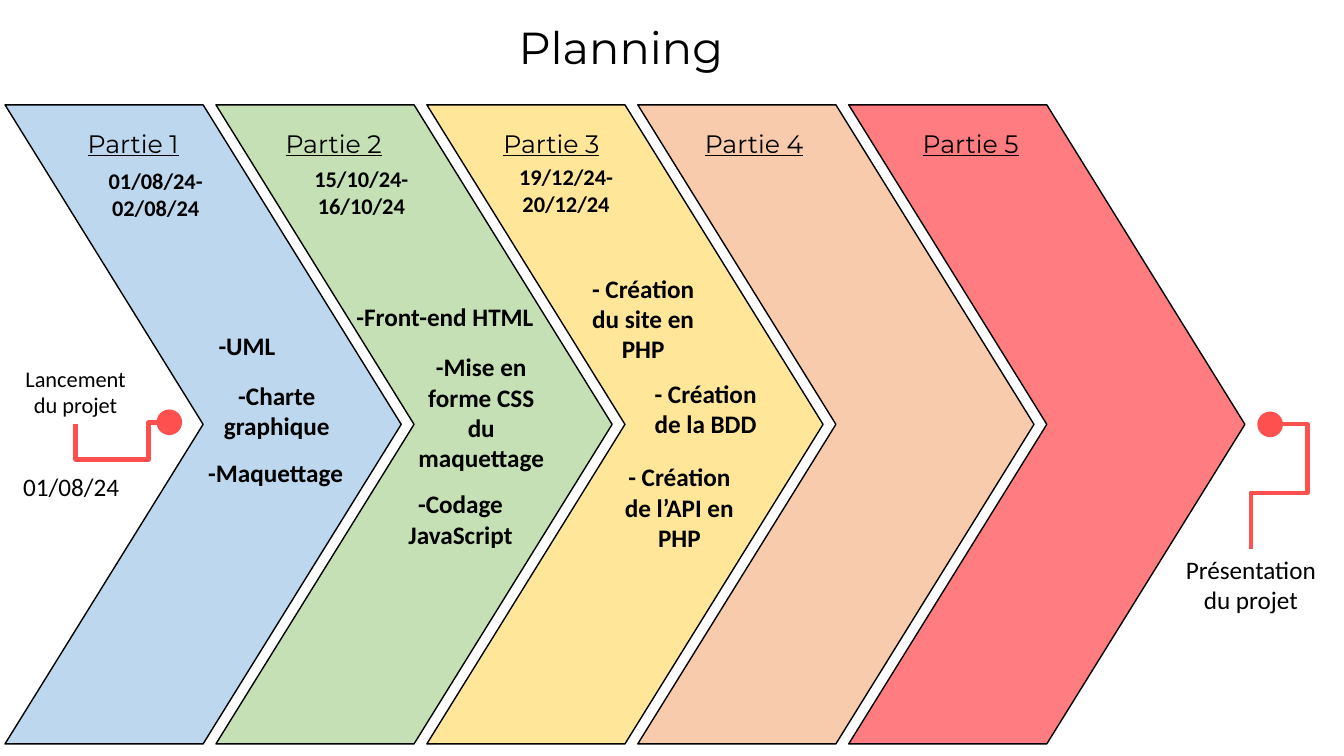
from lxml.etree import SubElement
from pptx import Presentation
from pptx.dml.color import RGBColor
from pptx.enum.shapes import MSO_CONNECTOR, MSO_SHAPE
from pptx.enum.text import MSO_AUTO_SIZE, PP_ALIGN
from pptx.oxml.ns import qn
from pptx.util import Pt

BLACK = RGBColor(0x00, 0x00, 0x00)
CORAL = RGBColor(0xFF, 0x50, 0x50)
BLUE = RGBColor(0xBD, 0xD7, 0xEE)
GREEN = RGBColor(0xC5, 0xE0, 0xB4)
YELLOW = RGBColor(0xFF, 0xE6, 0x99)
ORANGE = RGBColor(0xF8, 0xCB, 0xAD)
RED = RGBColor(0xFF, 0x7C, 0x80)

# Fill, label left
PARTS = [
    (BLUE, 45.4),
    (GREEN, 188.6),
    (YELLOW, 344.2),
    (ORANGE, 488.9),
    (RED, 643.7),
]
CHEVRON_LEFT, CHEVRON_STEP = 3.6, 150.66

# Text, left, top
DATES = [
    ("01/08/24-02/08/24", 55.4, 115.9),
    ("15/10/24-16/10/24", 202.3, 114.5),
    ("19/12/24-20/12/24", 348.5, 113),
]

# Text, left, top, width, number of lines
TASKS = [
    ("-UML", 129.6, 232.6, 93.6, 1),
    ("-Charte graphique", 135.4, 267.8, 124.6, 2),
    ("-Maquettage", 134.6, 323.3, 124.6, 1),
    ("-Front-end HTML", 247, 211.7, 141.8, 1),
    ("-Mise en forme CSS du maquettage", 287.3, 247.7, 113, 4),
    ("-Codage JavaScript", 282.2, 345.6, 93.6, 2),
    ("- Création du site en PHP", 412.6, 191.5, 93.6, 3),
    ("- Création de la BDD", 457.2, 266.4, 93.6, 2),
    ("- Création de l’API en PHP", 438.5, 326.2, 93.6, 3),
]


class PlanningSlide:
    body_font = "Calibri"
    heading_font = "Montserrat"

    def __init__(self, presentation):
        self.slide = presentation.slides.add_slide(presentation.slide_layouts[6])

    def text(self, text, left, top, width, height, *, size=18, font=body_font,
             bold=False, underline=False, align=PP_ALIGN.CENTER):
        box = self.slide.shapes.add_textbox(Pt(left), Pt(top), Pt(width), Pt(height))
        frame = box.text_frame
        frame.word_wrap = True
        frame.auto_size = MSO_AUTO_SIZE.SHAPE_TO_FIT_TEXT
        paragraph = frame.paragraphs[0]
        paragraph.alignment = align
        run = paragraph.add_run()
        run.text = text
        run.font.name = font
        run.font.size = Pt(size)
        run.font.bold = bold
        run.font.underline = underline
        run.font.color.rgb = BLACK
        return box

    def shape(self, kind, left, top, width, height, fill, line):
        shape = self.slide.shapes.add_shape(
            kind, Pt(left), Pt(top), Pt(width), Pt(height))
        shape.shadow.inherit = False
        shape.fill.solid()
        shape.fill.fore_color.rgb = fill
        shape.line.color.rgb = line
        shape.line.width = Pt(1)
        return shape

    def dot(self, left, top):
        return self.shape(MSO_SHAPE.OVAL, left, top, 17.3, 17.3, CORAL, CORAL)

    def bent_connector(self, start, corner, end, dot, dot_site, label, label_site,
                       half_turn=False):
        """Joins a dot to a label by a four-segment elbow passing through corner."""
        connector = self.slide.shapes.add_connector(
            MSO_CONNECTOR.ELBOW, *(Pt(value) for value in start + end))
        connector.line.color.rgb = CORAL
        connector.line.width = Pt(3)
        properties = connector._element.spPr
        SubElement(properties, qn("a:effectLst"))

        geometry = properties.find(qn("a:prstGeom"))
        geometry.set("prst", "bentConnector4")
        guides = geometry.find(qn("a:avLst"))
        for axis in (0, 1):
            ratio = (corner[axis] - start[axis]) / (end[axis] - start[axis])
            SubElement(guides, qn("a:gd"), name=f"adj{axis + 1}",
                       fmla=f"val {round(ratio * 100000)}")

        if half_turn:
            transform = properties.find(qn("a:xfrm"))
            del transform.attrib["flipH"]
            transform.set("rot", "10800000")
            transform.set("flipV", "1")

        joints = connector._element.find(
            f"{qn('p:nvCxnSpPr')}/{qn('p:cNvCxnSpPr')}")
        for tag, shape, site in (("a:stCxn", dot, dot_site),
                                 ("a:endCxn", label, label_site)):
            SubElement(joints, qn(tag), id=str(shape.shape_id), idx=str(site))


def main():
    presentation = Presentation()
    presentation.slide_width = Pt(960)
    presentation.slide_height = Pt(540)
    planning = PlanningSlide(presentation)

    planning.text("Planning", 295.9, 10.8, 295.2, 46.1, size=32,
                  font=planning.heading_font)
    for index, (fill, label_left) in enumerate(PARTS):
        planning.shape(MSO_SHAPE.CHEVRON, CHEVRON_LEFT + index * CHEVRON_STEP,
                       74.9, 283, 456.5, fill, BLACK)
    for number, (fill, label_left) in enumerate(PARTS, start=1):
        planning.text(f"Partie {number}", label_left, 87.8, 99.4, 28.8,
                      font=planning.heading_font, underline=True)
    for date, left, top in DATES:
        planning.text(date, left, top, 111.6, 46.1, size=16, bold=True)
    for task, left, top, width, lines in TASKS:
        planning.text(task, left, top, width, 7.2 + 21.8 * lines, bold=True)

    launch_dot = planning.dot(112.3, 293)
    launch = planning.text("Lancement du projet", 7.9, 257, 92.2, 46.1, size=16)
    planning.bent_connector((112.3, 301.7), (106.1, 328.4), (54, 303.1),
                            launch_dot, 2, launch, 2, half_turn=True)
    planning.text("01/08/24", 9.4, 333.4, 85.7, 28.8, align=PP_ALIGN.LEFT)

    closing_dot = planning.dot(898.6, 294.5)
    closing = planning.text("Présentation du projet", 832.3, 392.4, 122.4, 51.1)
    planning.bent_connector((915.9, 303.1), (934, 352), (893.5, 392.4),
                            closing_dot, 6, closing, 0)

    presentation.save("out.pptx")


if __name__ == "__main__":
    main()
